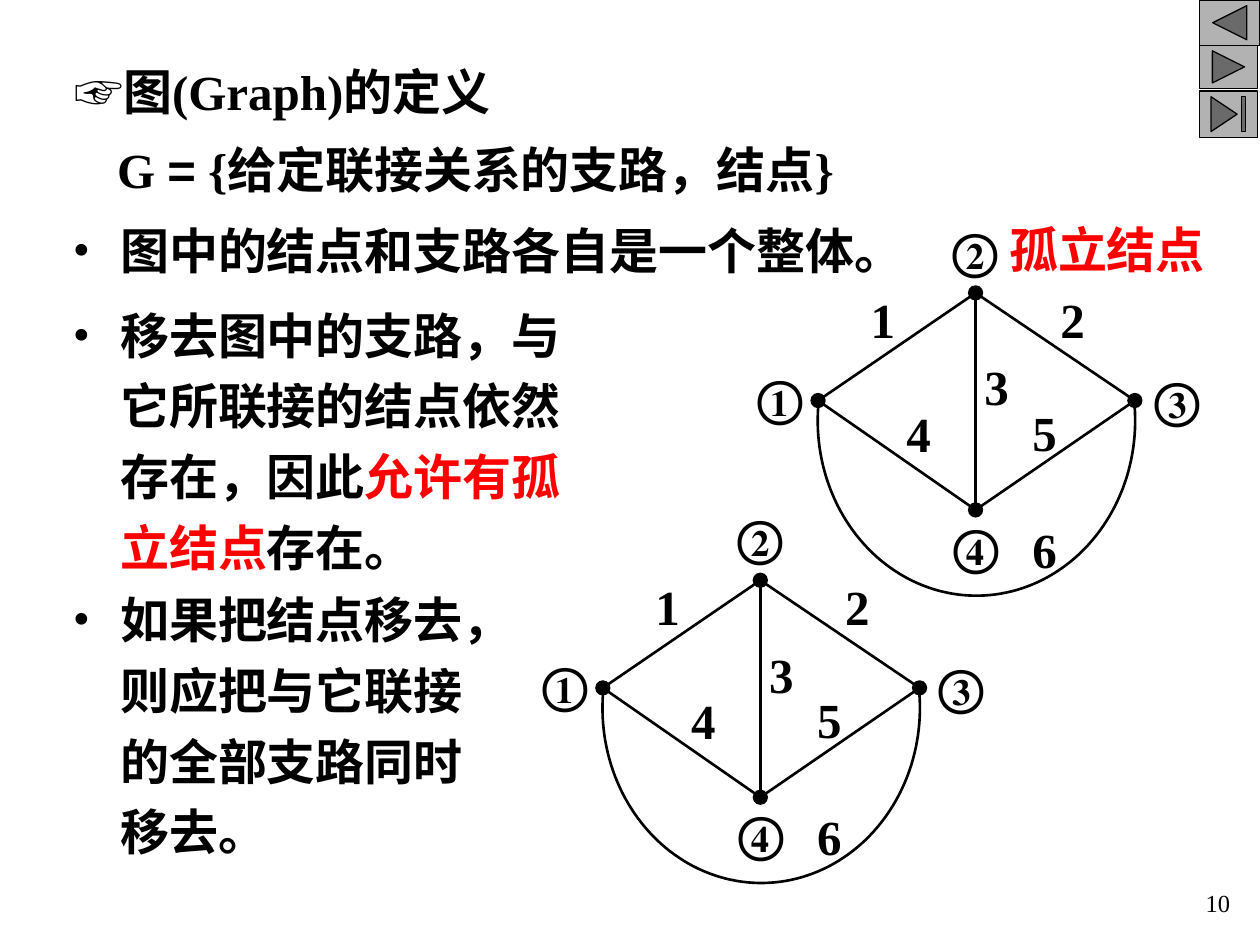
import math

import lxml.etree
import pptx
import pptx.dml.color
import pptx.enum.shapes
import pptx.enum.text
import pptx.oxml.ns
import pptx.util

Pt = pptx.util.Pt
qn = pptx.oxml.ns.qn
Shape = pptx.enum.shapes.MSO_SHAPE
Align = pptx.enum.text.PP_ALIGN
Fit = pptx.enum.text.MSO_AUTO_SIZE

INK = {"black": "000000", "red": "FF0000", "grey": "B2B2B2"}
NODES = {"①": (-90, 61.5), "②": (0, 0), "③": (91, 61.5), "④": (0, 124)}
EDGES = ["②③", "②①", "①④", "③④", "②④"]
TAGS = {
    "①": (-124.5, 42.5), "②": (-13, -41.5), "③": (102, 43.5), "④": (-12.5, 127.5),
    "1": (-60, -2), "2": (48.5, -2), "3": (5, 36.5),
    "4": (-39.5, 63), "5": (32.5, 62.5), "6": (32.5, 129.5),
}


class Deck:
    """Holds the style and the current slide, and draws each kind of element."""

    def __init__(self, slide):
        self.slide = slide
        self.font = "Times New Roman"
        self.size = 28
        self.thin = 0.75
        self.thick = 1.5

    def hue(self, name):
        return pptx.dml.color.RGBColor.from_string(INK[name])

    def fill_in(self, para, runs, size=None, bold=True):
        for text, tint, font in runs:
            run = para.add_run()
            run.text = text
            run.font.size = Pt(size or self.size)
            run.font.name = font or self.font
            run.font.bold = bold
            run.font.color.rgb = self.hue(tint)

    def title(self, box, runs):
        shape = self.slide.shapes.title
        shape.left, shape.top, shape.width, shape.height = map(Pt, box)
        frame = shape.text_frame
        frame.auto_size = Fit.SHAPE_TO_FIT_TEXT
        frame.vertical_anchor = pptx.enum.text.MSO_ANCHOR.MIDDLE
        para = frame.paragraphs[0]
        para.alignment = Align.LEFT
        self.fill_in(para, runs)

    def text(self, box, runs, align=Align.LEFT, wrap=True, pad=True, **look):
        frame = self.slide.shapes.add_textbox(*map(Pt, box)).text_frame
        frame.word_wrap = wrap
        frame.auto_size = Fit.SHAPE_TO_FIT_TEXT
        if not pad:
            frame.margin_left = frame.margin_right = 0
            frame.margin_top = frame.margin_bottom = 0
        para = frame.paragraphs[0]
        para.alignment = align
        self.fill_in(para, runs, **look)
        return para

    def bullet(self, box, runs, space=1.0):
        para = self.text(box, runs)
        props = para._p.get_or_add_pPr()
        props.set("marL", str(Pt(27)))
        props.set("indent", str(-Pt(27)))
        tint = lxml.etree.SubElement(props, qn("a:buClr"))
        lxml.etree.SubElement(tint, qn("a:srgbClr"), val=INK["black"])
        lxml.etree.SubElement(props, qn("a:buFont"), typeface=self.font)
        lxml.etree.SubElement(props, qn("a:buChar"), char="•")
        para.line_spacing = space

    def shape(self, kind, box, fill):
        shape = self.slide.shapes.add_shape(kind, *map(Pt, box))
        shape.shadow.inherit = False
        shape.fill.solid()
        shape.fill.fore_color.rgb = self.hue(fill)
        shape.line.color.rgb = self.hue("black")
        shape.line.width = Pt(self.thin)

    def line(self, start, end):
        kind = pptx.enum.shapes.MSO_CONNECTOR.STRAIGHT
        line = self.slide.shapes.add_connector(kind, *map(Pt, (*start, *end)))
        line.line.color.rgb = self.hue("black")
        line.line.width = Pt(self.thick)
        lxml.etree.SubElement(line._element.spPr, qn("a:effectLst"))

    def arc(self, x, y, wide, high, first, last):
        turns = [math.radians(deg) for deg in range(first, last + 1, 2)]
        dots = [(Pt(x + wide * math.cos(t)), Pt(y + high * math.sin(t))) for t in turns]
        pen = self.slide.shapes.build_freeform(*dots[0])
        pen.add_line_segments(dots[1:], close=False)
        curve = pen.convert_to_shape()
        curve.shadow.inherit = False
        curve.fill.background()
        curve.line.color.rgb = self.hue("black")
        curve.line.width = Pt(self.thick)

    def graph(self, x, y):
        spots = {name: (x + dx, y + dy) for name, (dx, dy) in NODES.items()}
        for start, end in EDGES:
            self.line(spots[start], spots[end])
        self.arc(x + 0.5, y + 73, 90.7, 100, -7, 187)
        for left, top in spots.values():
            self.shape(Shape.OVAL, (left - 4, top - 4, 8, 8), "black")
        for tag, (dx, dy) in TAGS.items():
            wide = 26 if tag in NODES else 14
            self.text((x + dx, y + dy, wide, 34), [(tag, "black", None)],
                      wrap=False, pad=False)


def main():
    prs = pptx.Presentation()
    prs.slide_width, prs.slide_height = Pt(720), Pt(540)
    deck = Deck(prs.slides.add_slide(prs.slide_layouts[5]))

    deck.shape(Shape.ACTION_BUTTON_BACK_OR_PREVIOUS, (685.5, 0, 34.5, 26), "grey")
    deck.shape(Shape.ACTION_BUTTON_FORWARD_OR_NEXT, (685.5, 26, 33, 24.5), "grey")
    deck.shape(Shape.ACTION_BUTTON_END, (685.5, 52, 33, 26.5), "grey")

    deck.title((35.3, 31.7, 294, 41),
               [("☞", "black", "Arial"), ("图(Graph)的定义", "black", None)])
    deck.text((59.8, 76.3, 443.5, 41),
              [("G ", "black", None), ("=", "black", "Arial"),
               (" {给定联接关系的支路，结点}", "black", None)], wrap=False)
    deck.bullet((34.6, 122.4, 515.5, 41),
                [("图中的结点和支路各自是一个整体。", "black", None)])
    deck.bullet((34.6, 164.2, 309.6, 168.5),
                [("移去图中的支路，与它所联接的结点依然存在，因此", "black", None),
                 ("允许有孤立结点", "red", None), ("存在。", "black", None)], 1.2)
    deck.bullet((34.6, 326.9, 254.2, 168.5),
                [("如果把结点移去，则应把与它联接的全部支路同时移去。", "black", None)], 1.2)
    deck.text((567.4, 121.7, 130.3, 41), [("孤立结点", "red", None)], Align.CENTER)

    for spot in ((557.5, 167.4), (434.5, 331.6)):
        deck.graph(*spot)

    deck.text((537, 504, 173, 36), [("10", "black", None)], Align.RIGHT,
              size=14, bold=False)
    prs.save("out.pptx")


if __name__ == "__main__":
    main()
